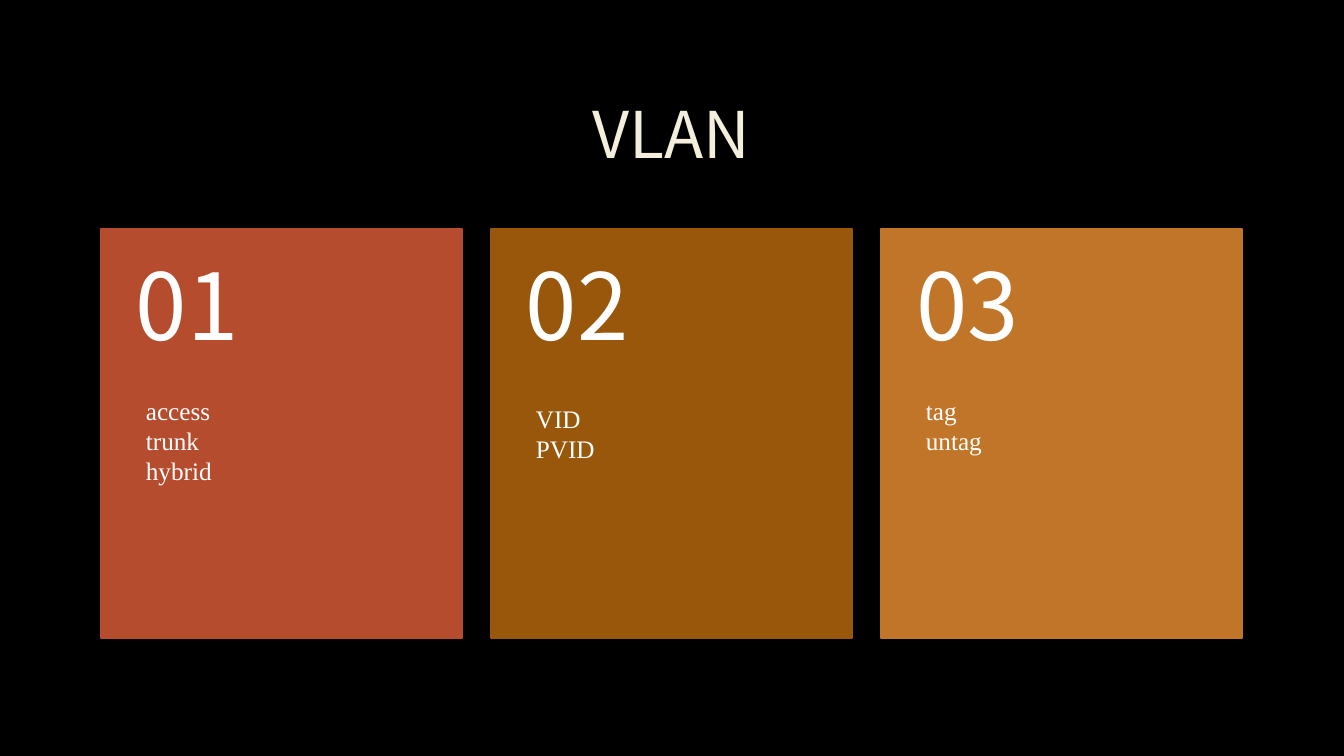
from dataclasses import dataclass

from pptx import Presentation
from pptx.dml.color import RGBColor as Rgb
from pptx.enum.shapes import MSO_SHAPE as Shape
from pptx.enum.text import MSO_ANCHOR as Anchor, MSO_AUTO_SIZE as Fit, PP_ALIGN as Align
from pptx.util import Emu, Pt

SCALE = 12192000 / 1344  # EMU per px


@dataclass(frozen=True)
class Theme:
    back: str = "000000"
    cream: str = "F4EEDC"
    white: str = "FFFFFF"
    sans: str = "Noto Sans CJK SC"
    serif: str = "Times New Roman"
    title: int = 46
    number: int = 66
    body: int = 18
    border: float = 1.25


THEME = Theme()

# Card colour, top of its list, list lines
CARDS = [
    ("B54C2D", 390, ["access", "trunk", "hybrid"]),
    ("99570C", 398, ["VID", "PVID"]),
    ("C17529", 390, ["tag", "untag"]),
]
LEFT, TOP, WIDTH, HEIGHT, STEP = 101, 229, 361, 409, 390


def px(*sizes):
    return [Emu(round(size * SCALE)) for size in sizes]


def add_text(shapes, box, lines, font, size, color, anchor=Anchor.TOP,
             align=Align.LEFT, space=1.0):
    label = shapes.add_textbox(*px(*box))
    frame = label.text_frame
    frame.word_wrap = True
    frame.vertical_anchor = anchor
    frame.text = "\n".join(lines)
    for para in frame.paragraphs:
        para.alignment = align
        para.line_spacing = space
        for run in para.runs:
            run.font.name = font
            run.font.size = Pt(size)
            run.font.color.rgb = Rgb.from_string(color)
    return frame


def add_card(shapes, left, color, number):
    card = shapes.add_shape(Shape.RECTANGLE, *px(left, TOP, WIDTH, HEIGHT))
    card.shadow.inherit = False
    card.fill.solid()
    card.fill.fore_color.rgb = Rgb.from_string(color)
    card.line.color.rgb = Rgb.from_string(color)
    card.line.width = Pt(THEME.border)

    frame = add_text(shapes, (left, TOP, WIDTH, 163), [f"{number:02}"], THEME.sans,
                     THEME.number, THEME.white, Anchor.MIDDLE, space=0.9)
    frame.margin_left, frame.margin_right = px(35, 35)
    frame.margin_top, frame.margin_bottom = px(18, 18)


def add_list(shapes, left, top, lines):
    height = 10 + 31 * len(lines)
    frame = add_text(shapes, (left, top, 238, height), lines, THEME.serif,
                     THEME.body, THEME.white)
    frame.auto_size = Fit.SHAPE_TO_FIT_TEXT


def main():
    deck = Presentation()
    deck.slide_width, deck.slide_height = px(1344, 756)
    slide = deck.slides.add_slide(deck.slide_layouts[6])
    slide.background.fill.solid()
    slide.background.fill.fore_color.rgb = Rgb.from_string(THEME.back)

    # Title
    add_text(slide.shapes, (LEFT, 68, 1141, 139), ["VLAN"], THEME.sans,
             THEME.title, THEME.cream, Anchor.MIDDLE, Align.CENTER, 0.9)

    # Numbered cards
    group = slide.shapes.add_group_shape()
    for i, (color, _, _) in enumerate(CARDS):
        add_card(group.shapes, LEFT + i * STEP, color, i + 1)

    # Lists on the cards
    for i, (_, top, lines) in enumerate(CARDS):
        add_list(slide.shapes, LEFT + 35 + i * STEP, top, lines)

    deck.save("out.pptx")


if __name__ == "__main__":
    main()
